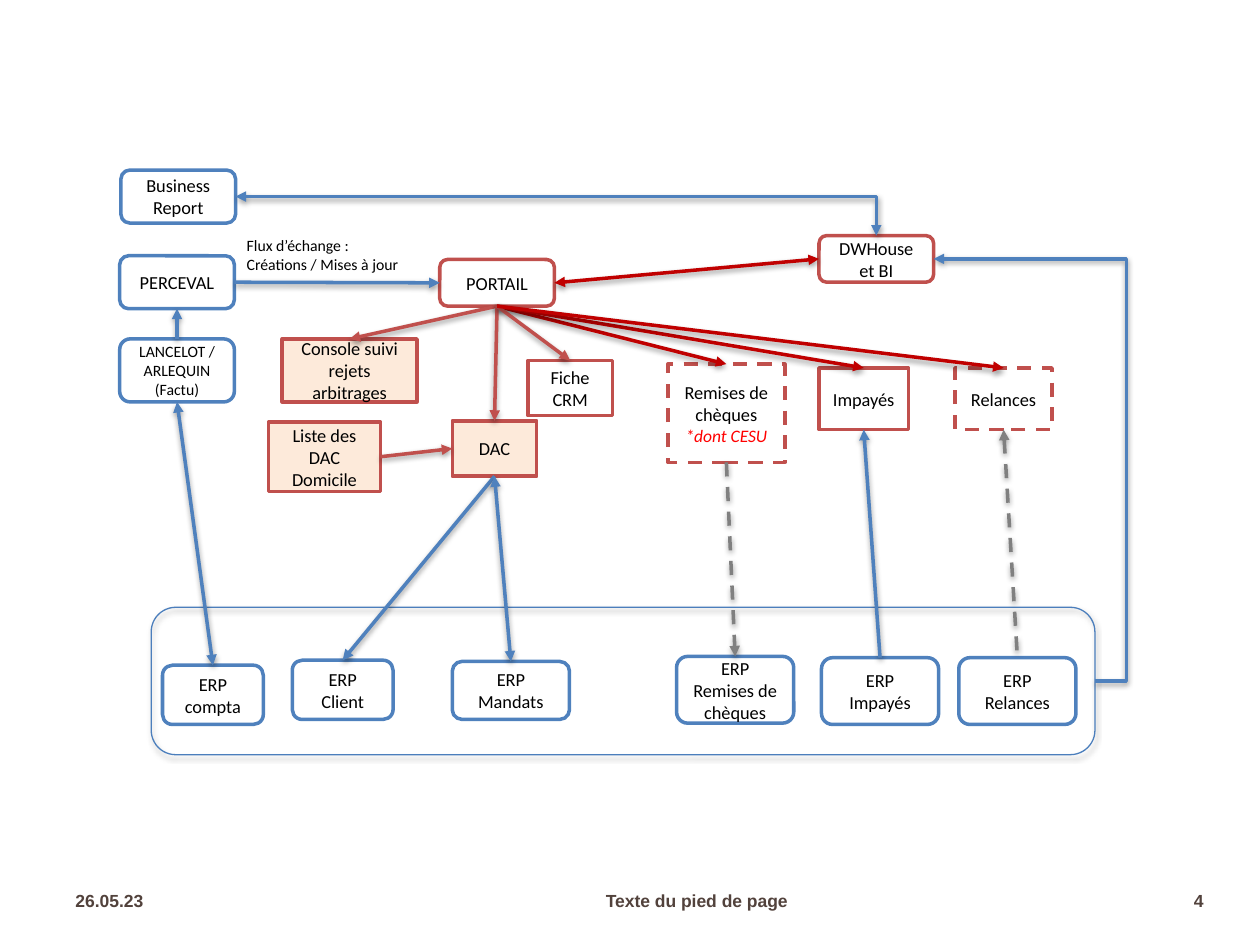
from lxml import etree
from pptx import Presentation, util as u
from pptx.dml.color import RGBColor
from pptx.enum import dml, shapes, text
from pptx.oxml import parse_xml
from pptx.oxml.ns import nsdecls, qn

BLUE, RED, DARK_RED, GREY = "4F81BD", "C0504D", "C00000", "808080"
WHITE, PEACH, BLACK, BROWN = "FFFFFF", "FDEADA", "000000", "52423C"
ROUND, RECT = shapes.MSO_SHAPE.ROUNDED_RECTANGLE, shapes.MSO_SHAPE.RECTANGLE
LEFT, CENTER, RIGHT = text.PP_ALIGN.LEFT, text.PP_ALIGN.CENTER, text.PP_ALIGN.RIGHT

# Box styles: preset, fill, line colour, dashed
STYLES = {
    "system": (ROUND, WHITE, BLUE, False),
    "hub": (ROUND, WHITE, RED, False),
    "screen": (RECT, WHITE, RED, False),
    "planned": (RECT, WHITE, RED, True),
    "debit": (RECT, PEACH, RED, False),
}

# Key: style, (left, top, width, height), paragraphs as (text, size, colour, italic)
def label(words, size=10.5, colour=BLACK, italic=False):
    return words, size, colour, italic


BOXES = {
    "perceval": ("system", (0.95, 2.03, 0.91, 0.42), [label("PERCEVAL")]),
    "portail": ("hub", (3.49, 2.06, 0.91, 0.37), [label("PORTAIL")]),
    "console": ("debit", (2.24, 2.69, 1.07, 0.5), [label("Console suivi rejets arbitrages")]),
    "fiche": ("screen", (4.19, 2.86, 0.67, 0.44), [label("Fiche CRM")]),
    "dac": ("debit", (3.59, 3.34, 0.67, 0.44), [label("DAC")]),
    "liste": ("debit", (2.13, 3.35, 0.89, 0.55), [label("Liste des DAC Domicile")]),
    "factu": ("system", (0.95, 2.69, 0.91, 0.5),
              [label("LANCELOT / ARLEQUIN", 9), label("(Factu)", 9)]),
    "remises": ("planned", (5.3, 2.89, 0.93, 0.78),
                [label("Remises de chèques"), label("*dont CESU", 10, "FF0000", True)]),
    "impayes": ("screen", (6.5, 2.92, 0.71, 0.49), [label("Impayés")]),
    "relances": ("planned", (7.58, 2.92, 0.77, 0.49), [label("Relances")]),
    "warehouse": ("hub", (6.5, 1.87, 0.91, 0.37), [label("DWHouse et BI")]),
    "report": ("system", (0.96, 1.35, 0.91, 0.42), [label("Business Report")]),
    "erp compta": ("system", (1.29, 5.28, 0.8, 0.47), [label("ERP compta")]),
    "erp client": ("system", (2.32, 5.24, 0.8, 0.47), [label("ERP Client")]),
    "erp mandats": ("system", (3.59, 5.25, 0.93, 0.46), [label("ERP Mandats")]),
    "erp remises": ("system", (5.37, 5.21, 0.93, 0.53), [label("ERP Remises de chèques")]),
    "erp impayes": ("system", (6.52, 5.22, 0.93, 0.53), [label("ERP Impayés")]),
    "erp relances": ("system", (7.61, 5.22, 0.93, 0.53), [label("ERP Relances")]),
}
ERP_FRAME = (1.2, 4.82, 7.49, 1.17)

# Connection sites of a rectangle
TOP, WEST, BOTTOM, EAST = range(4)

# From, site, to, site, colour, arrow ends, dashed
FLOWS = [
    ("perceval", EAST, "portail", WEST, BLUE, "tail", False),
    ("factu", TOP, "perceval", BOTTOM, BLUE, "tail", False),
    ("factu", BOTTOM, "erp compta", TOP, BLUE, "head tail", False),
    ("liste", EAST, "dac", WEST, RED, "tail", False),
    ("portail", BOTTOM, "console", TOP, RED, "tail", False),
    ("portail", BOTTOM, "remises", TOP, DARK_RED, "tail", False),
    ("portail", BOTTOM, "impayes", TOP, DARK_RED, "tail", False),
    ("portail", BOTTOM, "dac", TOP, RED, "tail", False),
    ("portail", BOTTOM, "fiche", TOP, RED, "tail", False),
    ("portail", BOTTOM, "relances", TOP, DARK_RED, "tail", False),
    ("dac", BOTTOM, "erp client", TOP, BLUE, "tail", False),
    ("dac", BOTTOM, "erp mandats", TOP, BLUE, "head tail", False),
    ("remises", BOTTOM, "erp remises", TOP, GREY, "tail", True),
    ("relances", BOTTOM, "erp relances", TOP, GREY, "head", True),
    ("impayes", BOTTOM, "erp impayes", TOP, BLUE, "head", False),
    ("portail", EAST, "warehouse", WEST, DARK_RED, "head tail", False),
]
# The same, with the bent preset and its adjustment
BENT_FLOWS = [
    (("frame", EAST, "warehouse", EAST, BLUE, "tail", False), "bentConnector3", -19500),
    (("report", EAST, "warehouse", TOP, BLUE, "head tail", False), "bentConnector2", None),
]

# Place, text, size, colour, bold, font, alignment, anchor
MIDDLE, UPPER = text.MSO_ANCHOR.MIDDLE, text.MSO_ANCHOR.TOP
TEXTS = [
    ((1.86, 1.82, 1.43, 0.4), "Flux d’échange : Créations / Mises à jour",
     9, BLACK, False, "Calibri", LEFT, UPPER),
    ((0.5, 6.95, 1.42, 0.4), "26.05.23", 10, BROWN, True, "Arial", LEFT, MIDDLE),
    ((1.95, 6.95, 7.16, 0.4), "Texte du pied de page", 10, BROWN, True, "Arial", CENTER, MIDDLE),
    ((9.13, 6.95, 0.52, 0.4), "4", 10, BROWN, True, "Arial", RIGHT, MIDDLE),
]


def rgb(colour):
    return RGBColor.from_string(colour)


def inches(values):
    return [u.Inches(value) for value in values]


def add_run(paragraph, words, size, colour, font="Calibri", bold=False, italic=False):
    run = paragraph.add_run()
    run.text = words
    run.font.name, run.font.size = font, u.Pt(size)
    run.font.bold, run.font.italic = bold, italic
    run.font.color.rgb = rgb(colour)


def set_line(shape, colour, width=2, dashed=False):
    shape.line.color.rgb = rgb(colour)
    shape.line.width = u.Pt(width)
    if dashed:
        shape.line.dash_style = dml.MSO_LINE.DASH


def add_shadow(shape, distance, opacity):
    """Append a soft shadow that falls straight down; distance in EMU, opacity in percent."""
    shape._element.spPr.append(parse_xml(
        f'<a:effectLst {nsdecls("a")}><a:outerShdw blurRad="40000" dist="{distance}" '
        f'dir="5400000" rotWithShape="0"><a:srgbClr val="000000">'
        f'<a:alpha val="{opacity * 1000}"/></a:srgbClr></a:outerShdw></a:effectLst>'))


def add_box(slide, style, place, paragraphs):
    preset, fill, colour, dashed = STYLES[style]
    box = slide.shapes.add_shape(preset, *inches(place))
    box.shadow.inherit = False
    box.fill.solid()
    box.fill.fore_color.rgb = rgb(fill)
    set_line(box, colour, dashed=dashed)
    frame = box.text_frame
    frame.word_wrap, frame.vertical_anchor = True, MIDDLE
    for index, (words, size, font_colour, italic) in enumerate(paragraphs):
        paragraph = frame.add_paragraph() if index else frame.paragraphs[0]
        paragraph.alignment = CENTER
        add_run(paragraph, words, size, font_colour, italic=italic)
    return box


def add_frame(slide):
    frame = slide.shapes.add_shape(ROUND, *inches(ERP_FRAME))
    frame.fill.background()
    set_line(frame, "4B7EBC", 0.75)
    add_shadow(frame, 23000, 35)
    return frame


def add_flow(slide, boxes, flow, kind=shapes.MSO_CONNECTOR.STRAIGHT):
    start, start_site, end, end_site, colour, arrows, dashed = flow
    connector = slide.shapes.add_connector(kind, 0, 0, 0, 0)
    connector.begin_connect(boxes[start], start_site)
    connector.end_connect(boxes[end], end_site)
    set_line(connector, colour, dashed=dashed)
    line = connector.line._get_or_add_ln()
    for side in arrows.split():
        etree.SubElement(line, qn(f"a:{side}End"), type="triangle")
    add_shadow(connector, 20000, 38)
    return connector


def bend(connector, preset, adjustment):
    geometry = connector._element.spPr.find(qn("a:prstGeom"))
    geometry.set("prst", preset)
    if adjustment is not None:
        guides = geometry.find(qn("a:avLst"))
        if guides is None:
            guides = etree.SubElement(geometry, qn("a:avLst"))
        etree.SubElement(guides, qn("a:gd"), name="adj1", fmla=f"val {adjustment}")


def add_text(slide, place, words, size, colour, bold, font, alignment, anchor):
    frame = slide.shapes.add_textbox(*inches(place)).text_frame
    frame.word_wrap, frame.vertical_anchor = True, anchor
    frame.paragraphs[0].alignment = alignment
    add_run(frame.paragraphs[0], words, size, colour, font, bold)


def main():
    presentation = Presentation()
    presentation.slide_width, presentation.slide_height = inches((10, 7.5))
    slide = presentation.slides.add_slide(presentation.slide_layouts.get_by_name("Blank"))
    boxes = {name: add_box(slide, *box) for name, box in BOXES.items()}
    boxes["frame"] = add_frame(slide)
    for flow in FLOWS:
        add_flow(slide, boxes, flow)
    for flow, preset, adjustment in BENT_FLOWS:
        bend(add_flow(slide, boxes, flow, shapes.MSO_CONNECTOR.ELBOW), preset, adjustment)
    for item in TEXTS:
        add_text(slide, *item)
    presentation.save("out.pptx")


if __name__ == "__main__":
    main()
